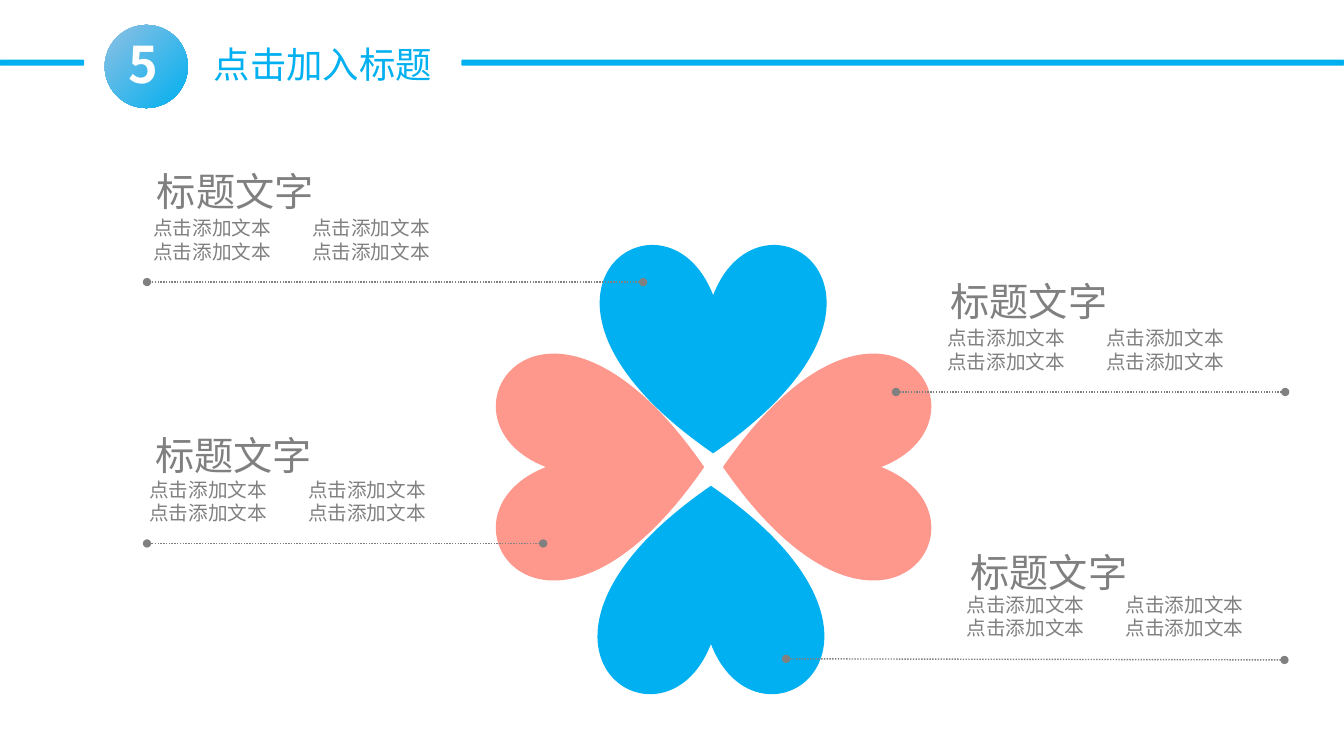
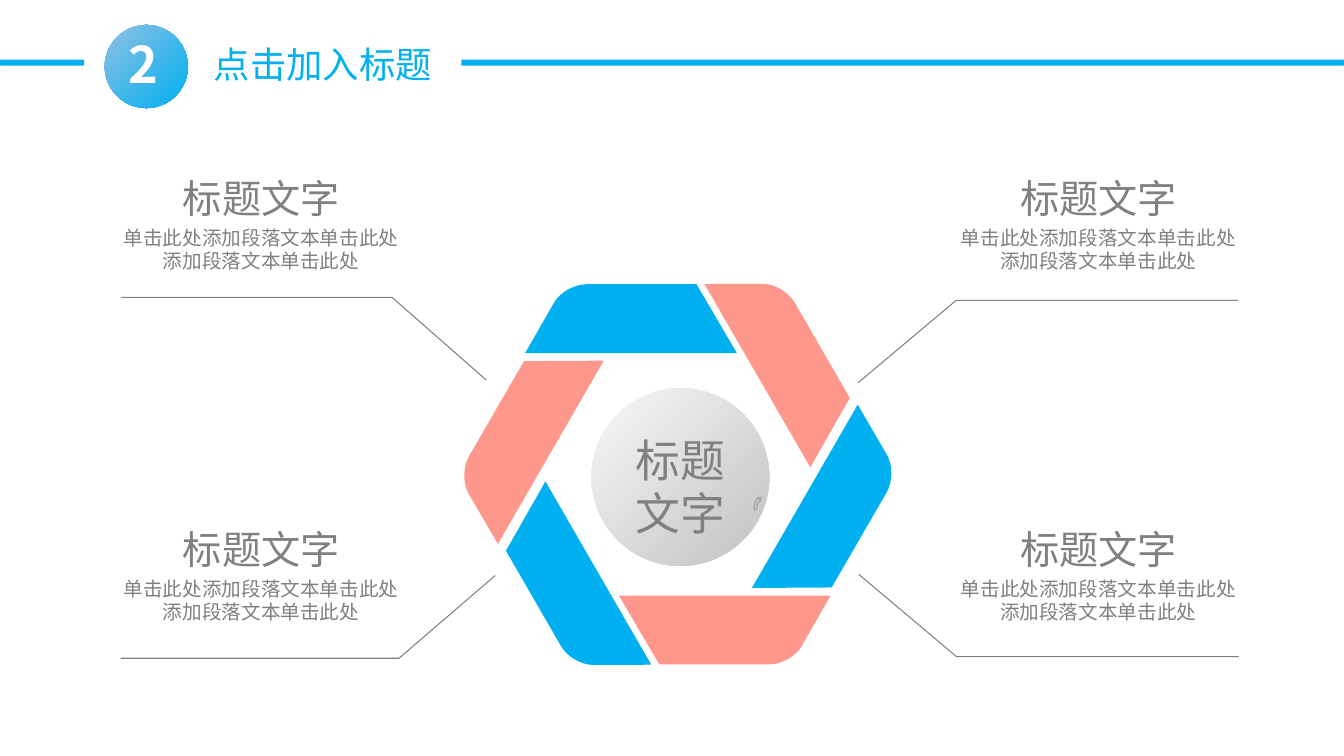
import math
from dataclasses import dataclass

import pptx
import pptx.dml.color
import pptx.enum.dml
import pptx.enum.shapes
import pptx.enum.text
import pptx.oxml
import pptx.oxml.ns
import pptx.util

Pt = pptx.util.Pt
ALIGN = pptx.enum.text.PP_ALIGN
ANCHOR = pptx.enum.text.MSO_ANCHOR
SHAPE = pptx.enum.shapes.MSO_SHAPE
NAMESPACE = pptx.oxml.ns.nsdecls("a")


@dataclass(frozen=True)
class Theme:
    font: str = "Noto Sans CJK SC"
    blue: str = "00B0F0"
    pale_blue: str = "8FC0E3"
    coral: str = "FE978C"
    gray: str = "808080"
    mark: str = "A6A6A6"
    sphere_light: str = "F7F7F7"
    sphere_dark: str = "C2C2C2"
    white: str = "FFFFFF"
    title: float = 26
    number: float = 36
    hub: float = 32
    heading: float = 28
    body: float = 14
    leading: float = 1.2


THEME = Theme()


@dataclass(frozen=True)
class Callout:
    heading: tuple
    body: tuple
    line_from: tuple
    line_to: tuple


def rgb(value):
    return pptx.dml.color.RGBColor.from_string(value)


def add_run(paragraph, text, size, color, bold=False):
    run = paragraph.add_run()
    run.text = text
    run.font.size = Pt(size)
    run.font.name = THEME.font
    run.font.bold = bold
    run.font.color.rgb = rgb(color)
    east_asian = pptx.oxml.parse_xml(f'<a:ea {NAMESPACE} typeface="{THEME.font}"/>')
    run.font._element.find(pptx.oxml.ns.qn("a:latin")).addnext(east_asian)
    return run


def add_label(slide, left, top, width, height, lines, size,
              align=ALIGN.LEFT, color=THEME.gray, bold=False):
    frame = slide.shapes.add_textbox(
        Pt(left), Pt(top), Pt(width), Pt(height)).text_frame
    frame.word_wrap = True
    for index, line in enumerate(lines):
        paragraph = frame.add_paragraph() if index else frame.paragraphs[0]
        paragraph.alignment = align
        paragraph.line_spacing = Pt(size * THEME.leading)
        add_run(paragraph, line, size, color, bold)


def paint(shape, color):
    shape.shadow.inherit = False
    shape.fill.solid()
    shape.fill.fore_color.rgb = rgb(color)
    shape.line.fill.background()


def add_disc(slide, left, top, diameter, start, end):
    """Circle shaded from its top left to its bottom right."""
    disc = slide.shapes.add_shape(
        SHAPE.OVAL, Pt(left), Pt(top), Pt(diameter), Pt(diameter))
    disc.shadow.inherit = False
    disc.line.fill.background()
    disc.fill.gradient()
    disc.fill.gradient_angle = 315
    for stop, color in zip(disc.fill.gradient_stops, (start, end)):
        stop.color.rgb = rgb(color)


def curve_point(controls, t):
    weights = ((1 - t) ** 3, 3 * t * (1 - t) ** 2, 3 * t * t * (1 - t), t ** 3)
    return tuple(sum(weight * point[axis] for weight, point in zip(weights, controls))
                 for axis in (0, 1))


def bounds(outline):
    """Left, top, right and bottom of the drawn outline, without control points."""
    reached = list(outline[0])
    for segment in outline[1:]:
        if len(segment) == 3:
            controls = [reached[-1], *segment]
            reached += [curve_point(controls, step / 200) for step in range(201)]
        else:
            reached += segment
    xs, ys = zip(*reached)
    return min(xs), min(ys), max(xs), max(ys)


def add_outline(slide, outline, close):
    """Draw a start point, then segments of one point (line) or three (curve)."""
    left, top, right, bottom = bounds(outline)
    builder = slide.shapes.build_freeform(Pt(left), Pt(top))
    builder.add_line_segments([(Pt(right), Pt(bottom))], close=False)
    shape = builder.convert_to_shape()
    trace = shape._element.find(".//" + pptx.oxml.ns.qn("a:path"))
    for child in list(trace):
        trace.remove(child)
    for index, segment in enumerate(outline):
        kind = "cubicBezTo" if len(segment) == 3 else "lnTo" if index else "moveTo"
        points = "".join(f'<a:pt x="{Pt(x - left)}" y="{Pt(y - top)}"/>'
                         for x, y in segment)
        trace.append(pptx.oxml.parse_xml(f"<a:{kind} {NAMESPACE}>{points}</a:{kind}>"))
    if close:
        trace.append(pptx.oxml.parse_xml(f"<a:close {NAMESPACE}/>"))
    return shape


def add_stroke(slide, outline, color, width):
    stroke = add_outline(slide, outline, close=False)
    stroke.shadow.inherit = False
    stroke.fill.background()
    stroke.line.color.rgb = rgb(color)
    stroke.line.width = Pt(width)


def turn(point, degrees):
    """Turn a point clockwise about (0, 0)."""
    cos, sin = math.cos(math.radians(degrees)), math.sin(math.radians(degrees))
    return point[0] * cos - point[1] * sin, point[0] * sin + point[1] * cos


def add_petal(slide, outline, center, rotation, color):
    """Draw an outline in its own frame, centred and then rotated."""
    left, top, right, bottom = bounds(outline)
    dx, dy = center[0] - (left + right) / 2, center[1] - (top + bottom) / 2
    moved = [[(x + dx, y + dy) for x, y in segment] for segment in outline]
    petal = add_outline(slide, moved, close=True)
    petal.rotation = rotation
    paint(petal, color)


def add_header(slide, number, title):
    heading = slide.shapes.title
    heading.left, heading.top = Pt(145.4), Pt(26)
    heading.width, heading.height = Pt(172), Pt(39)
    frame = heading.text_frame
    frame.word_wrap = False
    frame.auto_size = pptx.enum.text.MSO_AUTO_SIZE.NONE
    frame.vertical_anchor = ANCHOR.MIDDLE
    frame.paragraphs[0].alignment = ALIGN.LEFT
    add_run(frame.paragraphs[0], title, THEME.title, THEME.blue)

    for left, right in ((329.6, 960), (0, 60)):
        band = slide.shapes.add_shape(
            SHAPE.ROUNDED_RECTANGLE, Pt(left), Pt(42.6), Pt(right - left), Pt(4.3))
        band.adjustments[0] = 0.17
        paint(band, THEME.blue)

    add_disc(slide, 74.8, 17.8, 59.4, THEME.pale_blue, THEME.blue)
    add_label(slide, 55.2, 20.2, 94.3, 51.1, [number], THEME.number,
              ALIGN.CENTER, THEME.white, bold=True)


def add_heart(slide, tip, degrees, color):
    for side in (-1, 1):
        lobe = [[(0, -113)], [(0, 0)],
                [(side * 164, -113), (side * 34, -201), (0, -113)]]
        left, top, right, bottom = bounds(lobe)
        x, y = turn(((left + right) / 2, (top + bottom) / 2), degrees)
        add_petal(slide, lobe, (tip[0] + x, tip[1] + y), degrees, color)


def add_dotted_line(slide, start, end):
    line = slide.shapes.add_connector(
        pptx.enum.shapes.MSO_CONNECTOR.STRAIGHT,
        *(Pt(value) for value in start + end))
    line.line.color.rgb = rgb(THEME.gray)
    line.line.width = Pt(1)
    line.line.dash_style = pptx.enum.dml.MSO_LINE.ROUND_DOT
    for end_name in ("headEnd", "tailEnd"):
        line.line._get_or_add_ln().append(
            pptx.oxml.parse_xml(f'<a:{end_name} {NAMESPACE} type="oval"/>'))
    line._element.spPr.append(pptx.oxml.parse_xml(f"<a:effectLst {NAMESPACE}/>"))


def add_callout(slide, callout):
    left, top = callout.body
    for column in range(2):
        add_label(slide, left + column * 113.5, top, 125.3, 41,
                  ["点击添加文本"] * 2, THEME.body)
    add_label(slide, *callout.heading, 159, 41, ["标题文字"], THEME.heading)
    add_dotted_line(slide, callout.line_from, callout.line_to)


def build_clover(slide):
    add_header(slide, "5", "点击加入标题")
    for tip, degrees, color in (
            ((509.4, 323.8), 0, THEME.blue),
            ((516.4, 333.6), 90, THEME.coral),
            ((507.8, 347), 180, THEME.blue),
            ((503, 333.6), 270, THEME.coral)):
        add_heart(slide, tip, degrees, color)
    for callout in (
            Callout((105, 116), (102.4, 150.9), (459.4, 201.5), (105, 201.5)),
            Callout((672, 194.5), (669.5, 229.4), (918, 280), (640, 280)),
            Callout((686.2, 388), (683.4, 419.8), (917.5, 471.4), (561.5, 470.6)),
            Callout((103.8, 304.5), (99.5, 337.8), (388, 388.2), (105, 388.2))):
        add_callout(slide, callout)


def add_hexagon(slide, middle):
    """Three blades, and the same three again across the middle."""
    centers = [(450.7, 227.6), (562.3, 256), (596.2, 366.8)]
    centers += [(2 * middle[0] - x, 2 * middle[1] - y) for x, y in centers]
    blade = [[(-31.7, -24.6)], [(46.8, -24.6)], [(75.6, 24.6)], [(-75.6, 24.6)],
             [(-54.7, -11.9)], [(-50.4, -19), (-40.3, -24.6), (-31.7, -24.6)]]
    for index, center in enumerate(centers):
        rotation = 180 + index % 3 * 60
        outline = [[turn(point, index * 60 - rotation) for point in segment]
                   for segment in blade]
        color = THEME.coral if index % 2 else THEME.blue
        add_petal(slide, outline, center, rotation, color)


def add_hub(slide):
    add_disc(slide, 422.5, 277.2, 127, THEME.sphere_light, THEME.sphere_dark)
    loop = [[(541.4, 355.7)],
            [(539.8, 357), (539, 360), (538.6, 362.9)],
            [(538.6, 365), (540.2, 364.8), (540.7, 362.9)],
            [(540.7, 361), (541, 360), (541.4, 359.3)],
            [(543.2, 358.7), (543.4, 357), (542.9, 356.4)],
            [(542.5, 355.7), (542, 355.6), (541.4, 355.7)]]
    knot = [[(542.9, 355)], [(542.2, 356)], [(542.9, 357.1)], [(543.5, 356.2)],
            [(542.9, 355)]]
    for outline in (loop, knot):
        add_stroke(slide, outline, THEME.mark, 1)


def build_hexagon(slide):
    add_header(slide, "2", "点击加入标题")
    add_hexagon(slide, (484.2, 338.8))
    for pointer in (
            [(347.3, 271.4), (280.1, 212.4), (86.8, 212.4)],
            [(353.7, 411.1), (285, 470.2), (86.2, 470.2)],
            [(613, 273.4), (683, 214.6), (884.5, 214.6)],
            [(613.3, 410.2), (683.2, 469), (884.8, 469)]):
        add_stroke(slide, [[point] for point in pointer], THEME.gray, 0.75)
    add_hub(slide)
    for left in (77.8, 675.8):
        for top in (120.7, 371.5):
            add_label(slide, left, top + 36.8, 217.5, 41,
                      ["单击此处添加段落文本单击此处添加段落文本单击此处"],
                      THEME.body, ALIGN.CENTER)
            add_label(slide, left, top, 217.5, 41, ["标题文字"],
                      THEME.heading, ALIGN.CENTER)
    add_label(slide, 429, 305.3, 114, 85, ["标题", "文字"], THEME.hub, ALIGN.CENTER)


def main():
    deck = pptx.Presentation()
    deck.slide_width, deck.slide_height = Pt(960), Pt(540)
    title_only = deck.slide_layouts[5]
    for build in (build_clover, build_hexagon):
        build(deck.slides.add_slide(title_only))
    deck.save("out.pptx")


if __name__ == "__main__":
    main()
